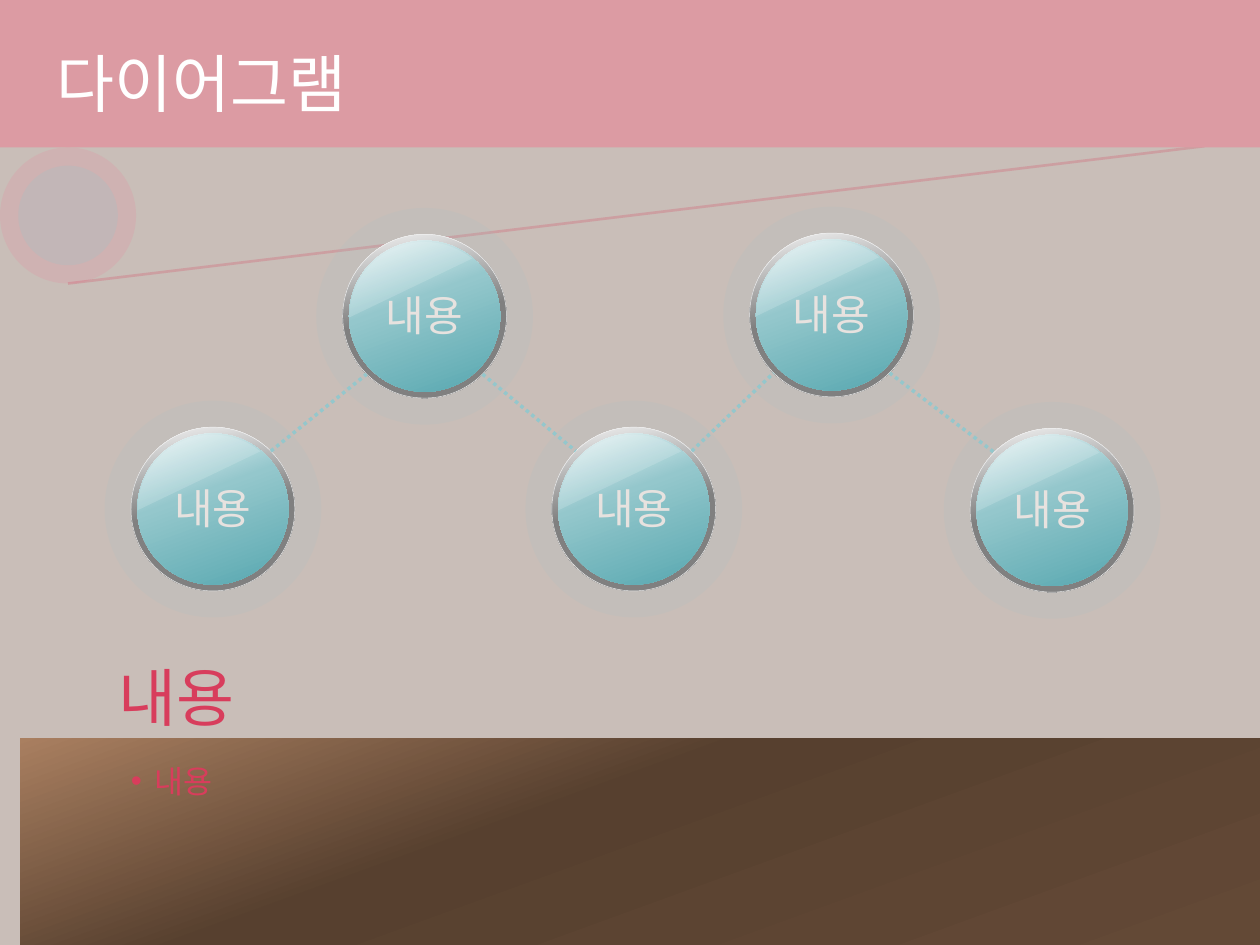
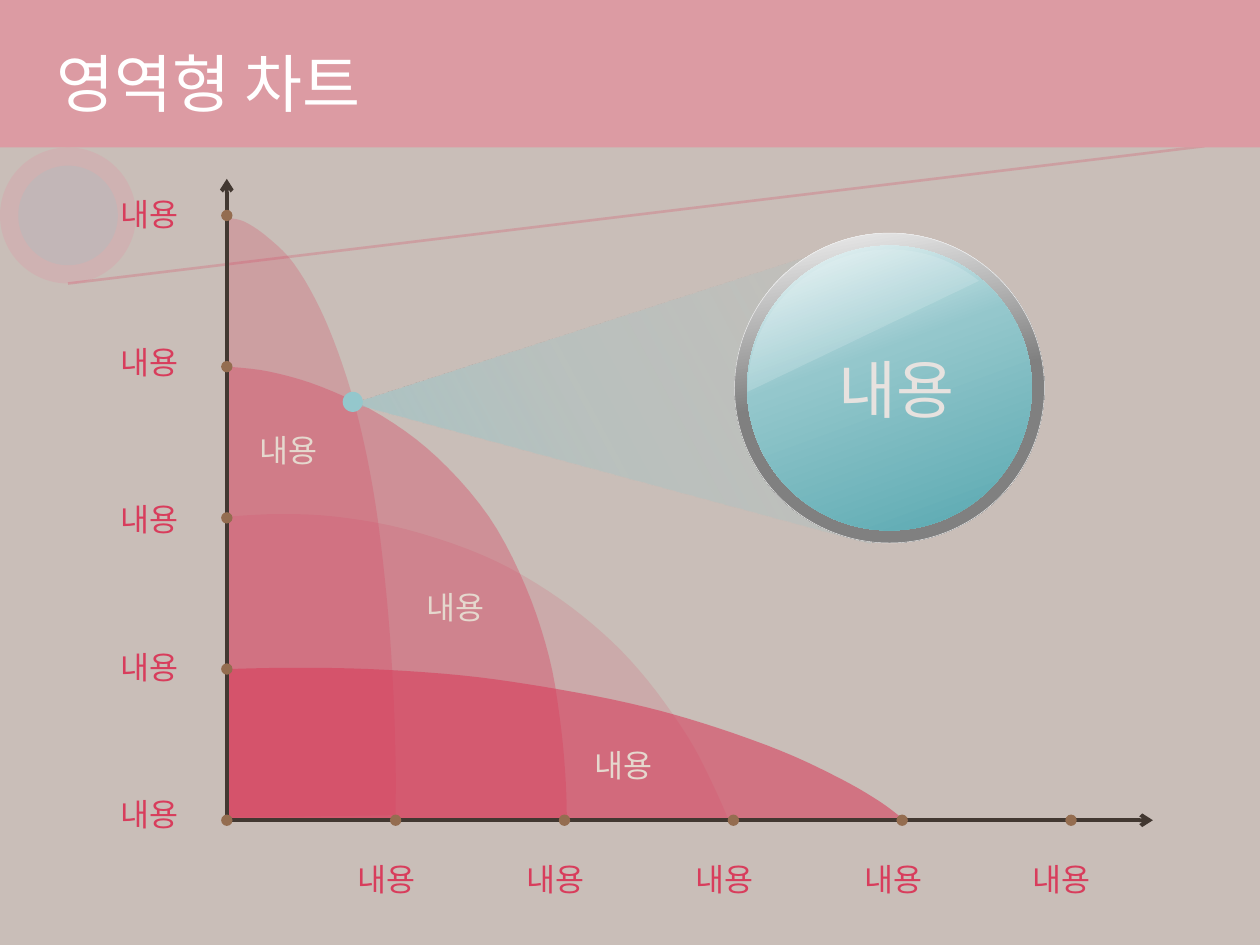
from dataclasses import dataclass
from itertools import pairwise
from typing import NamedTuple

from lxml.etree import SubElement
from pptx import Presentation
from pptx.dml.color import RGBColor
from pptx.enum.dml import MSO_LINE
from pptx.enum.shapes import MSO_CONNECTOR, MSO_SHAPE as Preset
from pptx.enum.text import MSO_ANCHOR as Anchor, MSO_AUTO_SIZE as AutoSize, PP_ALIGN as Align
from pptx.oxml.ns import qn
from pptx.util import Inches, Pt


class Solid(NamedTuple):
    color: str
    alpha: int = 100


class Stop(NamedTuple):
    position: int
    color: str
    alpha: int = 100


class Gradient(NamedTuple):
    angle: int
    stops: tuple[Stop, ...]


class Point(NamedTuple):
    x: float
    y: float


class Box(NamedTuple):
    left: float
    top: float
    width: float
    height: float


class Orb(NamedTuple):
    ring: float
    disc: float
    glare_drop: float


class Area(NamedTuple):
    alpha: int
    base: float
    crest: tuple[Point, ...]


@dataclass(frozen=True)
class Theme:
    background: str = "C9BEB8"
    band: str = "DC9BA3"
    white: str = "FFFFFF"
    rose: str = "D83D5C"
    pink: str = "E88B9D"
    aqua: str = "94C7CC"
    rim: str = "F2F2F2"
    glare: str = "EAF4F5"
    orb_text: str = "E7E2DF"
    area_text: str = "E5D8CE"
    axis: str = "423831"
    tick: str = "946D50"
    title_font: str = "Arial"
    body_font: str = "Lato"
    large: int = 36
    medium: int = 24
    small: int = 18
    ring: Gradient = Gradient(80, (Stop(0, "F2F2F2"), Stop(50, "808080"), Stop(100, "808080")))
    disc: Gradient = Gradient(70, (Stop(0, "F4F9FA"), Stop(40, "94C7CC"), Stop(100, "58A8B0")))
    ground: Gradient = Gradient(70, (Stop(0, "A97F60"), Stop(40, "57402F"), Stop(100, "634936")))
    beam: Gradient = Gradient(
        90, (Stop(0, "94C7CC", 75), Stop(40, "94C7CC", 30), Stop(100, "94C7CC", 0)))


THEME = Theme()
CONTENT = "내용"

NODE = Orb(1.3, 1.2, 0.01)
LENS = Orb(2.46, 2.26, 0.03)
HALO = 1.72
JOINT = 0.46
NODES = (Point(1.69, 4.04), Point(3.37, 2.51), Point(5.03, 4.04),
         Point(6.6, 2.5), Point(8.35, 4.05))

ORIGIN = Point(1.8, 6.51)
STEP_X, STEP_Y = 1.34, 1.2
Y_LABEL_TOPS = (1.5, 2.67, 3.92, 5.09, 6.26)


def points(*pairs: tuple[float, float]) -> tuple[Point, ...]:
    return tuple(Point(*pair) for pair in pairs)


BACK_AREAS = (
    Area(15, 6.5, points(
        (1.8, 4.1), (2.2, 4.08), (2.66, 4.1), (3.22, 4.2), (3.84, 4.41), (4.35, 4.69),
        (4.79, 5.03), (5.14, 5.4), (5.46, 5.85), (5.65, 6.21), (5.78, 6.5))),
    Area(35, 6.52, points(
        (1.81, 2.91), (2.14, 2.95), (2.55, 3.07), (3.03, 3.3), (3.47, 3.63), (3.88, 4.1),
        (4.17, 4.65), (4.36, 5.22), (4.45, 5.75), (4.49, 6.19), (4.5, 6.52))),
    Area(24, 6.49, points(
        (1.81, 1.73), (1.94, 1.76), (2.12, 1.88), (2.33, 2.09), (2.54, 2.45), (2.72, 2.9),
        (2.86, 3.39), (2.98, 4), (3.07, 4.75), (3.12, 5.45), (3.14, 6.04), (3.14, 6.47))),
)
FRONT_AREA = Area(58, 6.51, points(
    (1.8, 5.31), (2.3, 5.3), (2.93, 5.31), (3.66, 5.36), (4.31, 5.45), (4.99, 5.58),
    (5.58, 5.74), (6.2, 5.96), (6.67, 6.18), (6.98, 6.36), (7.18, 6.51)))


def rgb(color: str) -> RGBColor:
    return RGBColor.from_string(color)


def add_alpha(color_node, alpha: int) -> None:
    if alpha < 100:
        SubElement(color_node, qn("a:alpha")).set("val", str(alpha * 1000))


def paint(shape, fill: Solid | Gradient) -> None:
    shape.shadow.inherit = False
    shape.line.fill.background()
    properties = shape._element.spPr
    if isinstance(fill, Solid):
        shape.fill.solid()
        shape.fill.fore_color.rgb = rgb(fill.color)
        add_alpha(properties.find(qn("a:solidFill")).find(qn("a:srgbClr")), fill.alpha)
        return
    shape.fill.gradient()
    gradient = properties.find(qn("a:gradFill"))
    gradient.find(qn("a:lin")).set("ang", str(fill.angle * 60000))
    stops = gradient.find(qn("a:gsLst"))
    for default in list(stops):
        stops.remove(default)
    for stop in fill.stops:
        node = SubElement(stops, qn("a:gs"))
        node.set("pos", str(stop.position * 1000))
        color = SubElement(node, qn("a:srgbClr"))
        color.set("val", stop.color)
        add_alpha(color, stop.alpha)


def add_preset(slide, preset: Preset, box: Box, fill: Solid | Gradient):
    shape = slide.shapes.add_shape(preset, *map(Inches, box))
    paint(shape, fill)
    return shape


def add_circle(slide, center: Point, size: float, fill: Solid | Gradient,
               preset: Preset = Preset.OVAL):
    box = Box(center.x - size / 2, center.y - size / 2, size, size)
    return add_preset(slide, preset, box, fill)


def add_outline(slide, corners: list[Point], fill: Solid | Gradient):
    start, *rest = [(Inches(x), Inches(y)) for x, y in corners]
    builder = slide.shapes.build_freeform(*start)
    builder.add_line_segments(rest, close=True)
    shape = builder.convert_to_shape()
    paint(shape, fill)
    return shape


def add_line(slide, start: Point, end: Point, stroke: Solid, width: float,
             dash: MSO_LINE | None = None, arrow: bool = False) -> None:
    connector = slide.shapes.add_connector(
        MSO_CONNECTOR.STRAIGHT, *map(Inches, (*start, *end)))
    line = connector.line
    line.width = Pt(width)
    line.color.rgb = rgb(stroke.color)
    properties = connector._element.spPr
    outline = properties.find(qn("a:ln"))
    add_alpha(outline.find(qn("a:solidFill")).find(qn("a:srgbClr")), stroke.alpha)
    if dash:
        line.dash_style = dash
    if arrow:
        SubElement(outline, qn("a:headEnd")).set("type", "arrow")
    SubElement(properties, qn("a:effectLst"))


def add_text(slide, box: Box, text: str, size: int, color: str,
             font: str = THEME.body_font, align: Align = Align.LEFT,
             anchor: Anchor = Anchor.TOP, wrap: bool = True, grow: bool = True,
             inset: float | None = None, bullet: bool = False) -> None:
    frame = slide.shapes.add_textbox(*map(Inches, box)).text_frame
    frame.word_wrap = wrap
    frame.auto_size = AutoSize.SHAPE_TO_FIT_TEXT if grow else AutoSize.NONE
    frame.vertical_anchor = anchor
    if inset is not None:
        frame.margin_left = frame.margin_right = Inches(inset)
        frame.margin_top = frame.margin_bottom = Inches(inset)
    paragraph = frame.paragraphs[0]
    paragraph.text = text
    paragraph.alignment = align
    if bullet:
        properties = paragraph._p.get_or_add_pPr()
        properties.set("marL", str(Inches(0.19)))
        properties.set("indent", str(-Inches(0.19)))
        SubElement(properties, qn("a:buFont")).set("typeface", THEME.title_font)
        SubElement(properties, qn("a:buChar")).set("char", "•")
    paragraph.font.name = font
    paragraph.font.size = Pt(size)
    paragraph.font.color.rgb = rgb(color)


def add_label(slide, left: float, top: float, color: str) -> None:
    add_text(slide, Box(left, top, 0.7, 0.4), CONTENT, THEME.small, color, wrap=False)


def add_orb(slide, center: Point, orb: Orb) -> None:
    ring = add_circle(slide, center, orb.ring, THEME.ring)
    ring.line.color.rgb = rgb(THEME.rim)
    ring.line.width = Pt(0.25)
    add_circle(slide, center, orb.disc, THEME.disc)
    glare = add_circle(slide, Point(center.x, center.y + orb.glare_drop), orb.disc,
                       Solid(THEME.glare, 20), Preset.CHORD)
    glare.adjustments[0] = 53.946
    glare.adjustments[1] = 131.298
    glare.rotation = 90


def smooth(knots: tuple[Point, ...], steps: int = 5) -> list[Point]:
    padded = (knots[0], *knots, knots[-1])
    curve = []
    for a, b, c, d in zip(padded, padded[1:], padded[2:], padded[3:]):
        for step in range(steps):
            t = step / steps
            curve.append(Point(*(
                q + t / 2 * (r - p + t * (2 * p - 5 * q + 4 * r - s + t * (3 * (q - r) + s - p)))
                for p, q, r, s in zip(a, b, c, d))))
    return curve + [knots[-1]]


def add_area(slide, area: Area) -> None:
    corners = [*smooth(area.crest), Point(ORIGIN.x, area.base)]
    add_outline(slide, corners, Solid(THEME.rose, area.alpha))


def start_slide(deck, title: str):
    slide = deck.slides.add_slide(deck.slide_layouts[6])
    slide.background.fill.solid()
    slide.background.fill.fore_color.rgb = rgb(THEME.background)
    hub = Point(0.54, 1.71)
    add_circle(slide, hub, 1.08, Solid(THEME.pink, 22))
    add_circle(slide, hub, 0.79, Solid(THEME.aqua, 22))
    add_line(slide, Point(0.54, 2.25), Point(9.56, 1.16), Solid(THEME.rose, 23), 1.5)
    add_preset(slide, Preset.RECTANGLE, Box(0, 0, 10, 1.17), Solid(THEME.band))
    add_text(slide, Box(0.35, 0.14, 9.27, 1.03), title, THEME.large, THEME.white,
             font=THEME.title_font, anchor=Anchor.MIDDLE, grow=False)
    return slide


def build_diagram(deck) -> None:
    slide = start_slide(deck, "다이어그램")
    add_preset(slide, Preset.RECTANGLE, Box(0.16, 5.86, 9.84, 1.64), THEME.ground)
    for center in NODES:
        add_circle(slide, center, HALO, Solid(THEME.aqua, 10))
        add_orb(slide, center, NODE)
        add_text(slide, Box(center.x - 0.58, center.y - 0.26, 1.16, 0.5), CONTENT,
                 THEME.medium, THEME.orb_text, align=Align.CENTER)
    for here, there in pairwise(NODES):
        rise = JOINT if there.y > here.y else -JOINT
        add_line(slide, Point(here.x + JOINT, here.y + rise),
                 Point(there.x - JOINT, there.y - rise),
                 Solid(THEME.aqua), 2, dash=MSO_LINE.ROUND_DOT)
    add_text(slide, Box(0.94, 5.23, 8.12, 0.6), CONTENT, THEME.large, THEME.rose,
             anchor=Anchor.BOTTOM, inset=0)
    add_text(slide, Box(0.94, 6, 8.12, 1.2), CONTENT, THEME.small, THEME.rose,
             grow=False, bullet=True)


def build_area_chart(deck) -> None:
    slide = start_slide(deck, "영역형 차트")
    for area in (*BACK_AREAS, FRONT_AREA):
        add_area(slide, area)
    for tip in (Point(ORIGIN.x, 1.42), Point(9.15, ORIGIN.y)):
        add_line(slide, tip, ORIGIN, Solid(THEME.axis), 2.25, arrow=True)
    ticks = [Point(ORIGIN.x, ORIGIN.y - STEP_Y * i) for i in range(4, 0, -1)]
    ticks += [Point(ORIGIN.x + STEP_X * i, ORIGIN.y) for i in range(6)]
    for tick in ticks:
        add_circle(slide, tick, 0.09, Solid(THEME.tick))
    for i in range(3):
        add_label(slide, 1.96 + 1.33 * i, 3.37 + 1.25 * i, THEME.area_text)
    for top in Y_LABEL_TOPS:
        add_label(slide, 0.86, top, THEME.rose)
    for i in range(5):
        add_label(slide, 2.74 + STEP_X * i, 6.78, THEME.rose)
    beam = add_outline(slide, [Point(6.82, 1.37), Point(3.9, 4.47), Point(6.06, 5.61)],
                       THEME.beam)
    beam.rotation = 241.9
    add_orb(slide, Point(7.06, 3.08), LENS)
    add_circle(slide, Point(2.8, 3.19), 0.16, Solid(THEME.aqua))
    add_text(slide, Box(6.56, 2.73, 1.2, 0.71), CONTENT, THEME.large, THEME.orb_text,
             anchor=Anchor.MIDDLE, wrap=False)


def main() -> None:
    deck = Presentation()
    deck.slide_width, deck.slide_height = Inches(10), Inches(7.5)
    build_diagram(deck)
    build_area_chart(deck)
    deck.save("out.pptx")


if __name__ == "__main__":
    main()
